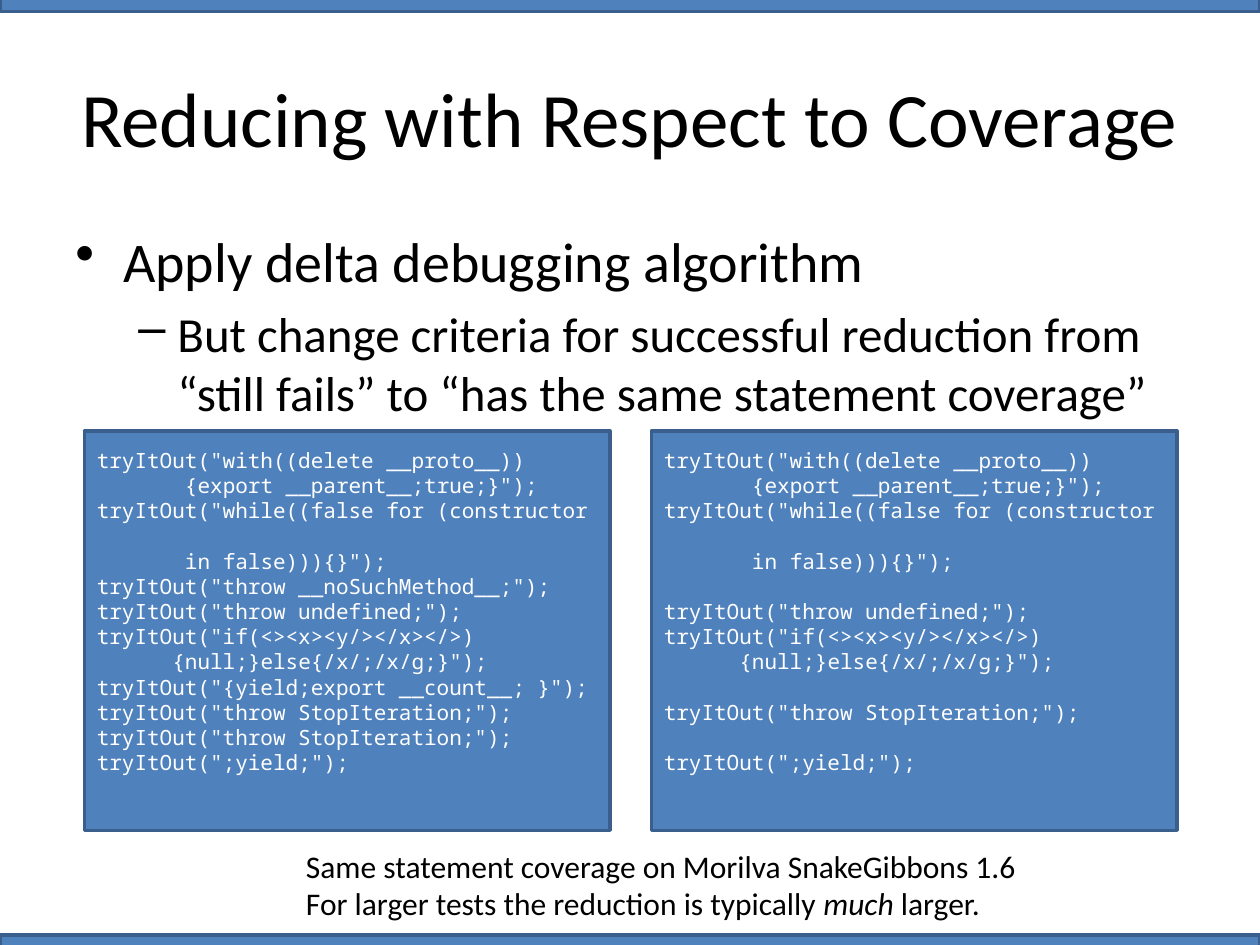
from pptx import Presentation
from pptx.dml.color import RGBColor
from pptx.enum.shapes import MSO_SHAPE
from pptx.enum.text import MSO_ANCHOR, MSO_AUTO_SIZE, PP_ALIGN
from pptx.oxml.xmlchemy import OxmlElement
from pptx.util import Inches, Pt

RECT = MSO_SHAPE.RECTANGLE
TOP, MIDDLE = MSO_ANCHOR.TOP, MSO_ANCHOR.MIDDLE
LEFT, CENTER = PP_ALIGN.LEFT, PP_ALIGN.CENTER
GROW = MSO_AUTO_SIZE.SHAPE_TO_FIT_TEXT
BLUE = RGBColor(0x4F, 0x81, 0xBD)
EDGE = RGBColor(0x3A, 0x5F, 0x8C)
WHITE = RGBColor(0xFF, 0xFF, 0xFF)
BLACK = RGBColor(0, 0, 0)
SANS, MONO = "Calibri", "Noto Sans Mono"
LINE = 14.4

CODE = [
    ('tryItOut("with((delete __proto__))', 0, 0),
    ('{export __parent__;true;}");', 0.7, 0),
    ('tryItOut("while((false for (constructor', 0, 0),
    ('in false))){}");', 0.7, LINE),
    ('tryItOut("throw __noSuchMethod__;");', 0, 0),
    ('tryItOut("throw undefined;");', 0, 0),
    ('tryItOut("if(<><x><y/></x></>)', 0, 0),
    ('{null;}else{/x/;/x/g;}");', 0.6, 0),
    ('tryItOut("{yield;export __count__; }");', 0, 0),
    ('tryItOut("throw StopIteration;");', 0, 0),
    ('tryItOut("throw StopIteration;");', 0, 0),
    ('tryItOut(";yield;");', 0, 0),
]
CUT = {4, 8, 10}


def add_text(frame, *parts, size=18, font=SANS, color=BLACK, align=LEFT,
             first=False, before=0, margin=0, hang=0, level=0, bullet=None,
             slant=None):
    para = frame.paragraphs[0] if first else frame.add_paragraph()
    para.alignment = align
    para.level = level
    para.space_before = Pt(before)
    props = para._p.get_or_add_pPr()
    props.set("marL", str(Inches(margin)))
    props.set("indent", str(Inches(-hang)))
    if bullet:
        mark = OxmlElement("a:buChar")
        mark.set("char", bullet)
        props.append(mark)
    for part in parts:
        run = para.add_run()
        run.text = part
        run.font.name = font
        run.font.size = Pt(size)
        run.font.color.rgb = color
        if part == slant:
            run.font.italic = True


def add_box(slide, left, top, width, height):
    box = slide.shapes.add_shape(RECT, Inches(left), Inches(top),
                                 Inches(width), Inches(height))
    box.shadow.inherit = False
    box.fill.solid()
    box.fill.fore_color.rgb = BLUE
    box.line.color.rgb = EDGE
    box.line.width = Pt(2)
    return box


def add_frame(slide, left, top, width, height, wrap=True):
    box = slide.shapes.add_textbox(Inches(left), Inches(top),
                                   Inches(width), Inches(height))
    box.text_frame.word_wrap = wrap
    return box.text_frame


def add_code(slide, left, cut):
    frame = add_box(slide, left, 3.42, 4.17, 3.17).text_frame
    frame.word_wrap = True
    frame.vertical_anchor = TOP
    frame.margin_top = Inches(0.13)
    gap = 0
    for row, (text, margin, before) in enumerate(CODE):
        if row in cut:
            gap += LINE
            continue
        add_text(frame, text, size=12, font=MONO, color=WHITE,
                 first=row == 0, margin=margin, before=before + gap)
        gap = 0


def add_title(slide, text):
    title = slide.shapes.title
    title.left, title.top = Inches(0.5), Inches(0.3)
    title.width, title.height = Inches(9), Inches(1.25)
    title.text_frame.vertical_anchor = MIDDLE
    add_text(title.text_frame, text, size=44, align=CENTER, first=True)


def main():
    deck = Presentation()
    deck.slide_width, deck.slide_height = Inches(10), Inches(7.5)
    slide = deck.slides.add_slide(deck.slide_layouts[5])
    for top in (7.42, -0.08):
        add_box(slide, 0, top, 10, 0.17)
    add_title(slide, "Reducing with Respect to Coverage")
    for left, cut in ((0.67, set()), (5.17, CUT)):
        add_code(slide, left, cut)

    body = add_frame(slide, 0.5, 1.75, 9, 4.95)
    add_text(body, "Apply delta debugging algorithm", size=32, first=True,
             before=6.4, margin=0.38, hang=0.38, bullet="•")
    add_text(body, "But change criteria for successful reduction from "
             "“still fails” to “has the same statement coverage”", size=28,
             before=5.6, margin=0.81, hang=0.31, level=1, bullet="–")

    note = add_frame(slide, 2.33, 6.67, 5.89, 0.71, wrap=False)
    note.auto_size = GROW
    add_text(note, "Same statement coverage on Morilva SnakeGibbons 1.6",
             first=True)
    add_text(note, "For larger tests the reduction is typically ", "much",
             " larger.", slant="much")
    deck.save("out.pptx")


main()
